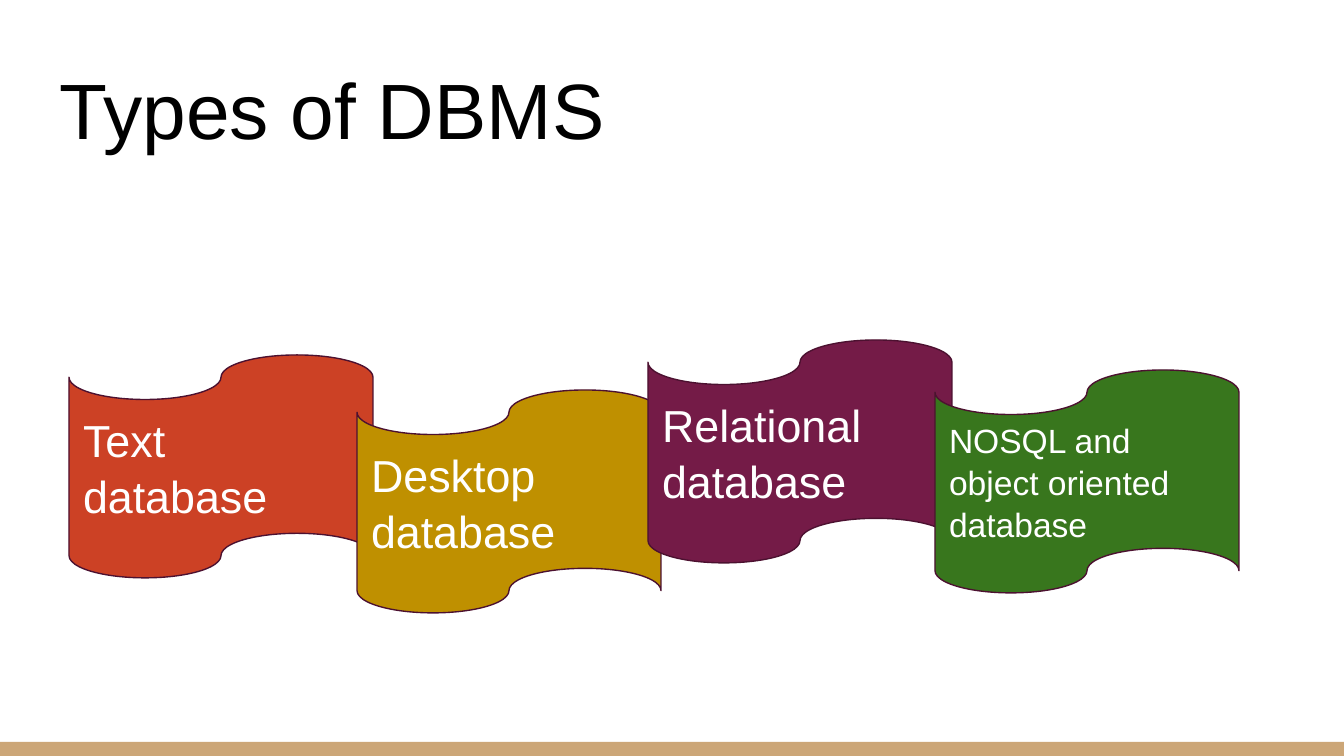
from pptx import Presentation
from pptx.dml.color import RGBColor
from pptx.enum.shapes import MSO_SHAPE as Shape
from pptx.enum.text import MSO_ANCHOR as Anchor, PP_ALIGN as Align
from pptx.util import Pt

PX = 914400 / 134.4
COLORS = {
    "title": "000000",
    "label": "FFFFFF",
    "outline": "4C1130",
    "footer": "CCA677",
    "red": "CC4125",
    "gold": "BF9000",
    "plum": "741B47",
    "green": "38761D",
}
INSET = 14
TAPE_WIDTH, TAPE_HEIGHT = 304, 223


def px(*lengths):
    """Turn pixel lengths into EMU."""
    return [round(length * PX) for length in lengths]


def write(shape, text, size, color, anchor=Anchor.MIDDLE, spacing=1.0):
    frame = shape.text_frame
    frame.word_wrap = True
    frame.vertical_anchor = anchor
    (inset,) = px(INSET)
    frame.margin_left = frame.margin_right = inset
    frame.margin_top = frame.margin_bottom = inset
    paragraph = frame.paragraphs[0]
    paragraph.alignment = Align.LEFT
    paragraph.line_spacing = spacing
    run = paragraph.add_run()
    run.text = text
    run.font.name = "Arial"
    run.font.size = Pt(size)
    run.font.color.rgb = RGBColor.from_string(COLORS[color])


prs = Presentation()
prs.slide_width, prs.slide_height = px(1344, 756)
slide = prs.slides.add_slide(prs.slide_layouts[6])

footer = slide.shapes.add_shape(Shape.RECTANGLE, *px(0, 742, 1344, 14))
footer.shadow.inherit = False
footer.fill.solid()
footer.fill.fore_color.rgb = RGBColor.from_string(COLORS["footer"])
footer.line.fill.background()

title = slide.shapes.add_textbox(*px(46, 47, 1253, 122))
write(title, "Types of DBMS", 42, "title", anchor=Anchor.BOTTOM)

database_types = [
    ("Text database", 69, 355, "red", 24),
    ("Desktop database", 357, 390, "gold", 24),
    ("Relational database", 648, 340, "plum", 24),
    ("NOSQL and object oriented database", 935, 370, "green", 18),
]
for name, left, top, color, size in database_types:
    tape = slide.shapes.add_shape(
        Shape.FLOWCHART_PUNCHED_TAPE, *px(left, top, TAPE_WIDTH, TAPE_HEIGHT)
    )
    tape.shadow.inherit = False
    tape.fill.solid()
    tape.fill.fore_color.rgb = RGBColor.from_string(COLORS[color])
    tape.line.color.rgb = RGBColor.from_string(COLORS["outline"])
    tape.line.width = Pt(0.75)
    write(tape, name, size, "label", spacing=1.04)

prs.save("out.pptx")
